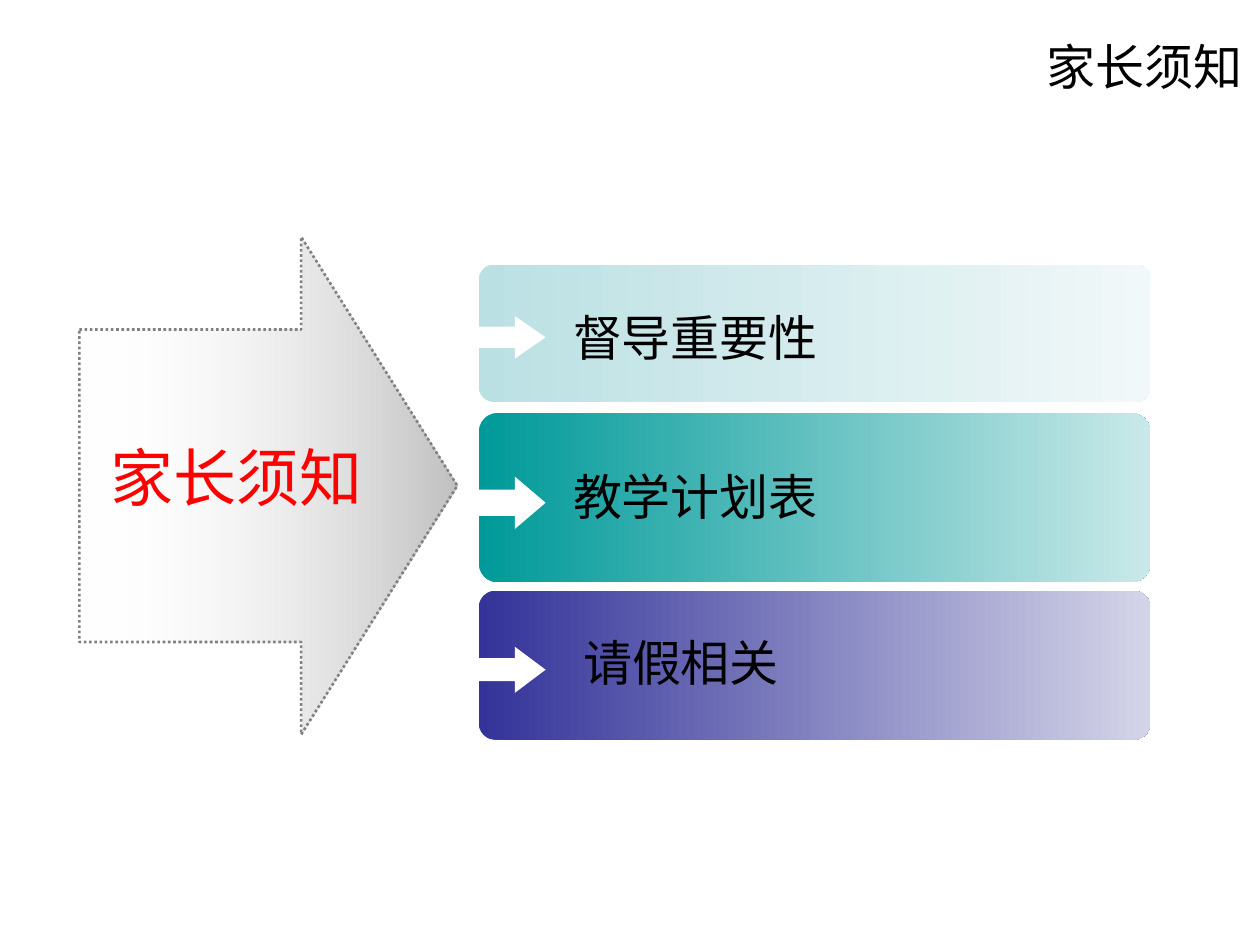
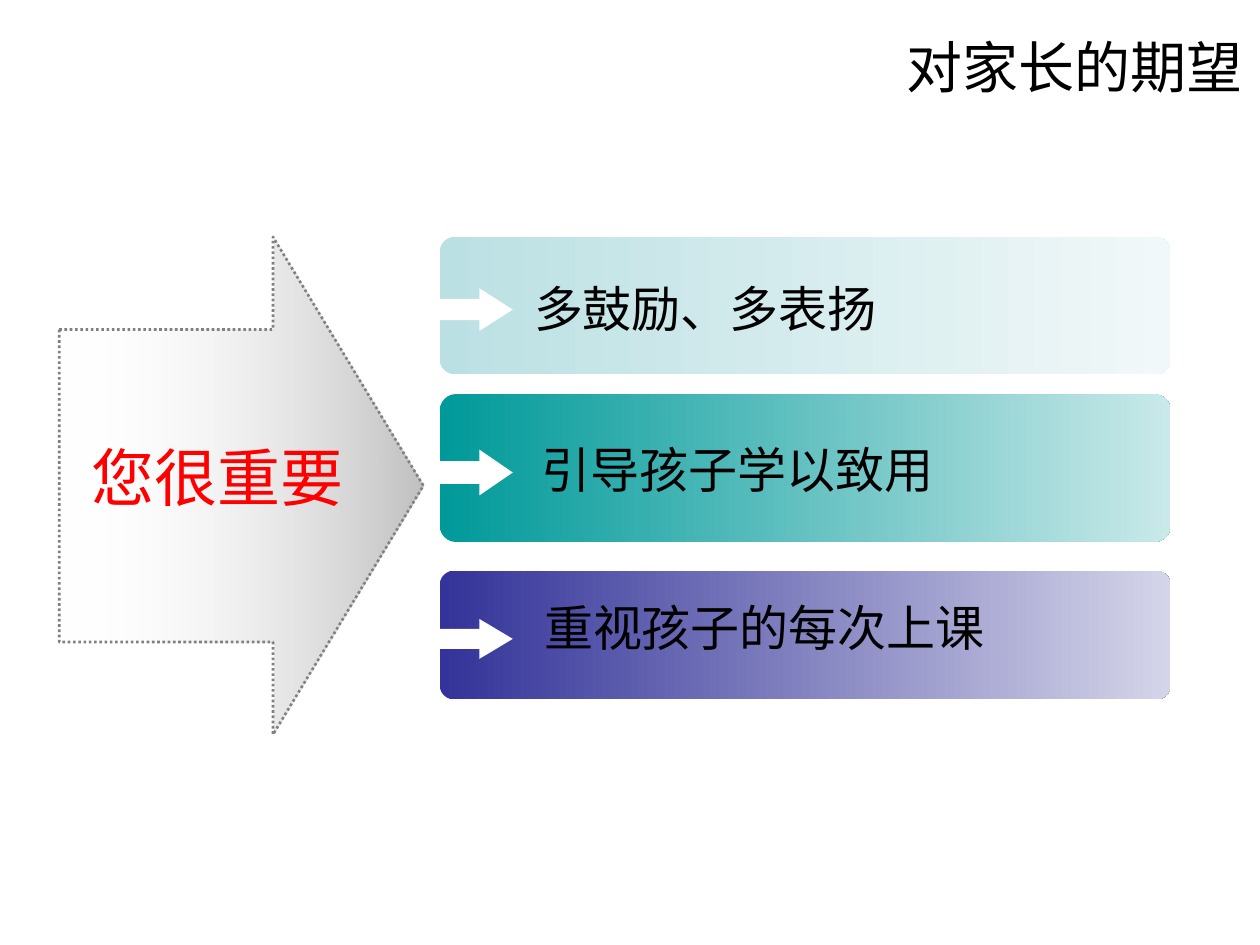
from lxml import etree
from pptx import Presentation
from pptx.dml.color import RGBColor
from pptx.enum import dml, shapes, text
from pptx.oxml.ns import qn
from pptx.util import Inches, Pt

BLACK = RGBColor(0x00, 0x00, 0x00)
WHITE = RGBColor(0xFF, 0xFF, 0xFF)
RED = RGBColor(0xFF, 0x00, 0x00)
GRAY = RGBColor(0x80, 0x80, 0x80)
BAR_GRADIENTS = [
    (RGBColor(0xBB, 0xE0, 0xE3), RGBColor(0xF1, 0xF8, 0xF9)),
    (RGBColor(0x00, 0x99, 0x99), RGBColor(0xC9, 0xE9, 0xE9)),
    (RGBColor(0x33, 0x33, 0x99), RGBColor(0xD4, 0xD4, 0xE9)),
]
CHINESE_FONT = "Noto Sans CJK SC"
TITLE_BOX = (0.96, -0.09, 9, 1.23)
BIG_ARROW_TOP, BIG_ARROW_HEIGHT = 1.88, 3.95

SLIDES = [
    {
        "title": ("家长须知", 28, CHINESE_FONT),
        "theme": ("家长须知", 0.78),
        "big_arrow": (0.63, 3),
        "bars": (3.8, 5.33),
        "marker_width": 0.58,
        "points": [
            ("督导重要性", 2.1, 1.09, (4.45, 2.39, 4.53)),
            ("教学计划表", 3.28, 1.34, (4.45, 3.65, 4.53)),
            ("请假相关", 4.69, 1.18, (4.53, 4.97, 3.75)),
        ],
    },
    {
        "title": ("对家长的期望", 32, "Arial"),
        "theme": ("您很重要", 0.63),
        "big_arrow": (0.47, 2.89),
        "bars": (3.49, 5.8),
        "marker_width": 0.63,
        "points": [
            ("多鼓励、多表扬", 1.88, 1.09, (4.14, 2.16, 4.53)),
            ("引导孩子学以致用", 3.13, 1.17, (4.2, 3.44, 4.93)),
            ("重视孩子的每次上课", 4.53, 1.02, (4.22, 4.69, 4.45)),
        ],
    },
]


def add_shape(slide, kind, box, adjustments):
    shape = slide.shapes.add_shape(kind, *map(Inches, box))
    shape.shadow.inherit = False
    shape.line.fill.background()
    for index, value in enumerate(adjustments):
        shape.adjustments[index] = value
    return shape


def fill_gradient(shape, colors, opacities=()):
    shape.fill.gradient()
    shape.fill.gradient_angle = 0
    stops = shape.fill.gradient_stops
    for stop, color, position in zip(stops, colors, (0, 1)):
        stop.color.rgb = color
        stop.position = position
    color_elements = shape._element.spPr.iter(qn("a:srgbClr"))
    for element, opacity in zip(color_elements, opacities):
        etree.SubElement(element, qn("a:alpha"), val=str(opacity * 1000))


def add_text(slide, words, box, size, color=BLACK, font=CHINESE_FONT):
    text_box = slide.shapes.add_textbox(*map(Inches, box))
    frame = text_box.text_frame
    frame.word_wrap = True
    frame.text = words
    run = frame.paragraphs[0].runs[0]
    run.font.size = Pt(size)
    run.font.color.rgb = color
    run.font.name = font
    etree.SubElement(run._r.get_or_add_rPr(), qn("a:ea"), typeface=CHINESE_FONT)
    return frame


def add_big_arrow(slide, left, width):
    box = (left, BIG_ARROW_TOP, width, BIG_ARROW_HEIGHT)
    arrow = add_shape(slide, shapes.MSO_SHAPE.RIGHT_ARROW, box, (0.628, 0.413))
    fill_gradient(arrow, (WHITE, GRAY), (0, 50))
    arrow.line.color.rgb = GRAY
    arrow.line.width = Pt(1.5)
    arrow.line.dash_style = dml.MSO_LINE.ROUND_DOT


def add_bar(slide, left, top, width, height, colors, marker_width):
    bar = add_shape(slide, shapes.MSO_SHAPE.ROUNDED_RECTANGLE,
                    (left, top, width, height), (0.109,))
    fill_gradient(bar, colors)
    marker_height = 0.31 * height
    marker_box = (left - 0.05, top + 0.375 * height, marker_width, marker_height)
    head = 0.42 * marker_width / marker_height
    marker = add_shape(slide, shapes.MSO_SHAPE.RIGHT_ARROW, marker_box, (0.5, head))
    marker.fill.solid()
    marker.fill.fore_color.rgb = WHITE


def add_title(slide, words, size, font):
    frame = add_text(slide, words, TITLE_BOX, size, font=font)
    frame.vertical_anchor = text.MSO_ANCHOR.MIDDLE
    frame.paragraphs[0].alignment = text.PP_ALIGN.RIGHT


def build_slide(presentation, content):
    slide = presentation.slides.add_slide(presentation.slide_layouts[6])
    add_big_arrow(slide, *content["big_arrow"])
    theme, theme_left = content["theme"]
    add_text(slide, theme, (theme_left, 3.43, 2.34, 0.7), 36, RED)
    bar_left, bar_width = content["bars"]
    for (words, top, height, text_place), colors in zip(content["points"], BAR_GRADIENTS):
        add_bar(slide, bar_left, top, bar_width, height, colors, content["marker_width"])
        add_text(slide, words, (*text_place, 0.57), 28)
    add_title(slide, *content["title"])


def main():
    presentation = Presentation()
    presentation.slide_width = Inches(10)
    presentation.slide_height = Inches(7.5)
    for content in SLIDES:
        build_slide(presentation, content)
    presentation.save("out.pptx")


if __name__ == "__main__":
    main()
